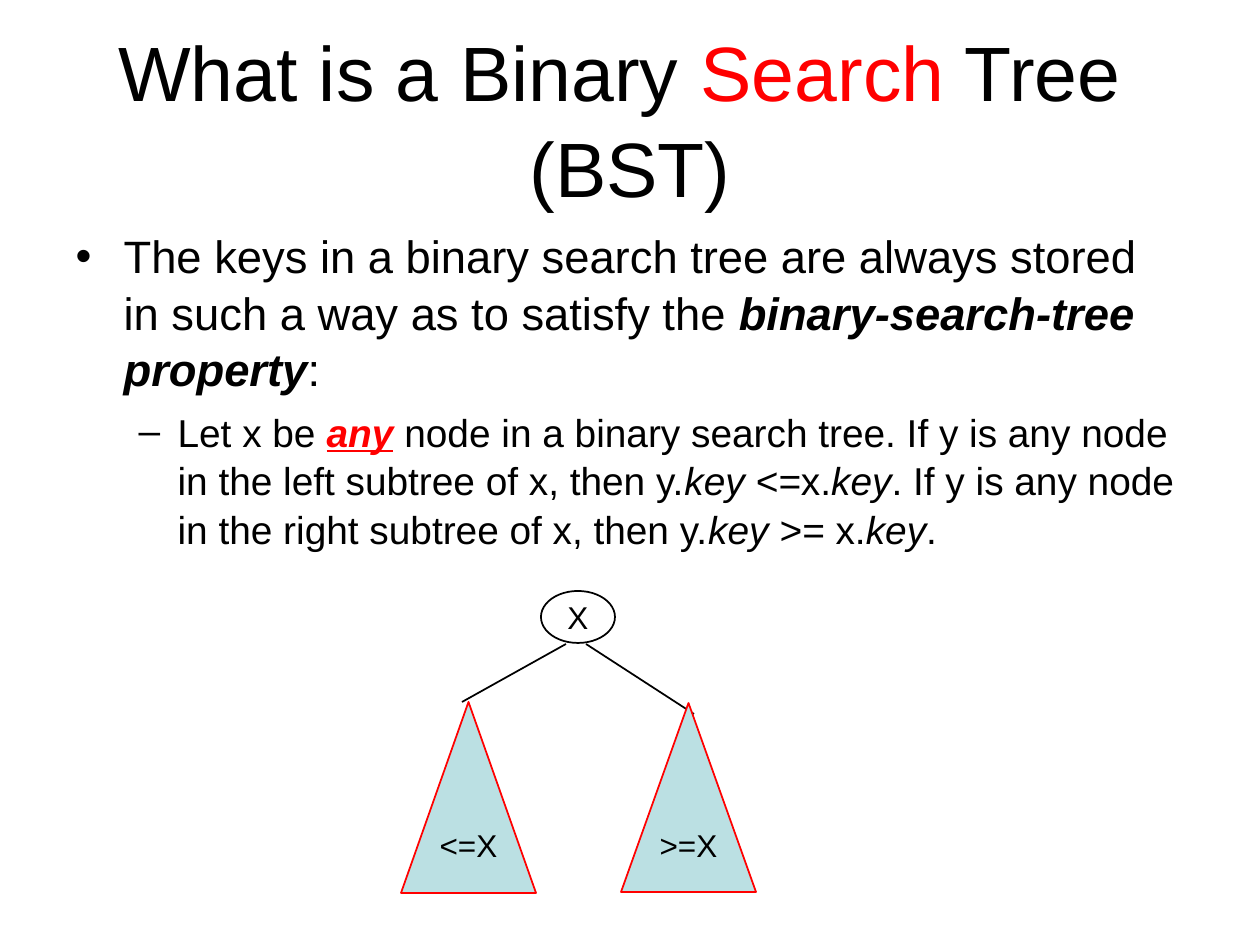
from dataclasses import dataclass

from lxml import etree
from pptx import Presentation, util as u
from pptx.dml.color import RGBColor
from pptx.enum import shapes, text
from pptx.oxml.ns import qn

EMU_PER_PX = 914400 / 126


@dataclass(frozen=True)
class Theme:
    font: str = "Arial"
    ink: str = "000000"
    accent: str = "FF0000"
    subtree: str = "BBE0E3"
    title: float = 44
    body: float = 25.9
    detail: float = 22.2
    label: float = 18
    line: float = 1
    leading: float = 1.04


@dataclass(frozen=True)
class Run:
    text: str
    color: str = Theme.ink
    bold: bool = False
    italic: bool = False
    underline: bool = False


@dataclass(frozen=True)
class Item:
    level: int
    bullet: str
    size: float
    left: int
    hanging: int
    before: int
    runs: tuple[Run, ...]


@dataclass(frozen=True)
class Subtree:
    label: str
    box: tuple[int, int, int, int]
    edge: tuple[int, int, int, int]


THEME = Theme()
KEY = Run("key", italic=True)
TITLE = (Run("What is a Binary "), Run("Search", THEME.accent), Run(" Tree "))
ITEMS = (
    Item(0, "•", THEME.body, 48, 48, 7, (
        Run("The keys in a binary search tree are always stored in such a way "
            "as to satisfy the "),
        Run("binary-search-tree property", bold=True, italic=True),
        Run(":"),
    )),
    Item(1, "–", THEME.detail, 102, 39, 6, (
        Run("Let x be "),
        Run("any", THEME.accent, bold=True, italic=True, underline=True),
        Run(" node in a binary search tree. If y is any node in the left "
            "subtree of x, then y."),
        Run("key <=", italic=True),
        Run("x."),
        KEY,
        Run(". If y is any node in the right subtree of x, then y."),
        Run("key >=", italic=True),
        Run(" x."),
        KEY,
        Run("."),
    )),
)
ROOT_BOX = (541, 591, 74, 52)
SUBTREES = (
    Subtree(">=X", (621, 703, 135, 189), (586, 644, 694, 714)),
    Subtree("<=X", (401, 702, 135, 191), (566, 644, 462, 702)),
)


def px(n: int) -> int:
    return round(n * EMU_PER_PX)


def rgb(color: str) -> RGBColor:
    return RGBColor.from_string(color)


def add_runs(p, runs: tuple[Run, ...], size: float) -> None:
    for run in runs:
        r = p.add_run()
        r.text = run.text
        font = r.font
        font.name, font.size = THEME.font, u.Pt(size)
        font.color.rgb = rgb(run.color)
        font.bold, font.italic = run.bold, run.italic
        font.underline = run.underline


def place(sp, box: tuple[int, int, int, int]) -> None:
    sp.left, sp.top, sp.width, sp.height = map(px, box)


def set_bullet(p, item: Item) -> None:
    pPr = p._p.get_or_add_pPr()
    pPr.set("marL", str(px(item.left)))
    pPr.set("indent", str(-px(item.hanging)))
    color = etree.SubElement(pPr, qn("a:buClr"))
    etree.SubElement(color, qn("a:srgbClr"), val=THEME.ink)
    etree.SubElement(pPr, qn("a:buFont"), typeface=THEME.font)
    etree.SubElement(pPr, qn("a:buChar"), char=item.bullet)


def fill_title(sp) -> None:
    place(sp, (63, 38, 1134, 158))
    tf = sp.text_frame
    tf.auto_size = text.MSO_AUTO_SIZE.NONE
    tf.vertical_anchor = text.MSO_ANCHOR.MIDDLE
    p = tf.paragraphs[0]
    p.alignment = text.PP_ALIGN.CENTER
    p.line_spacing = THEME.leading
    add_runs(p, TITLE, THEME.title)
    p.add_line_break()
    add_runs(p, (Run("(BST)"),), THEME.title)


def fill_body(sp) -> None:
    place(sp, (63, 220, 1134, 357))
    tf = sp.text_frame
    tf.auto_size = text.MSO_AUTO_SIZE.NONE
    for i, item in enumerate(ITEMS):
        p = tf.add_paragraph() if i else tf.paragraphs[0]
        p.level = item.level
        set_bullet(p, item)
        p.space_before = u.Pt(item.before if i else 0)
        p.line_spacing = THEME.leading
        add_runs(p, item.runs, item.size)


def add_node(s, kind, box: tuple[int, int, int, int], label: str,
             line: str, fill: str | None = None) -> None:
    sp = s.shapes.add_shape(kind, *map(px, box))
    sp.shadow.inherit = False
    if fill:
        sp.fill.solid()
        sp.fill.fore_color.rgb = rgb(fill)
    else:
        sp.fill.background()
    sp.line.color.rgb = rgb(line)
    sp.line.width = u.Pt(THEME.line)
    tf = sp.text_frame
    tf.word_wrap = False
    tf.vertical_anchor = text.MSO_ANCHOR.MIDDLE
    p = tf.paragraphs[0]
    p.alignment = text.PP_ALIGN.CENTER
    add_runs(p, (Run(label),), THEME.label)


def add_edge(s, ends: tuple[int, int, int, int]) -> None:
    edge = s.shapes.add_connector(shapes.MSO_CONNECTOR.STRAIGHT, *map(px, ends))
    edge.line.color.rgb = rgb(THEME.ink)
    edge.line.width = u.Pt(THEME.line)
    etree.SubElement(edge._element.spPr, qn("a:effectLst"))


def main() -> None:
    prs = Presentation()
    prs.slide_width, prs.slide_height = u.Inches(10), u.Inches(7.5)
    s = prs.slides.add_slide(prs.slide_layouts[1])
    fill_title(s.shapes.title)
    fill_body(s.placeholders[1])
    add_node(s, shapes.MSO_SHAPE.OVAL, ROOT_BOX, "X", THEME.ink)
    for tree in SUBTREES:
        add_edge(s, tree.edge)
        add_node(s, shapes.MSO_SHAPE.ISOSCELES_TRIANGLE, tree.box, tree.label,
                 THEME.accent, THEME.subtree)
    prs.save("out.pptx")


if __name__ == "__main__":
    main()
